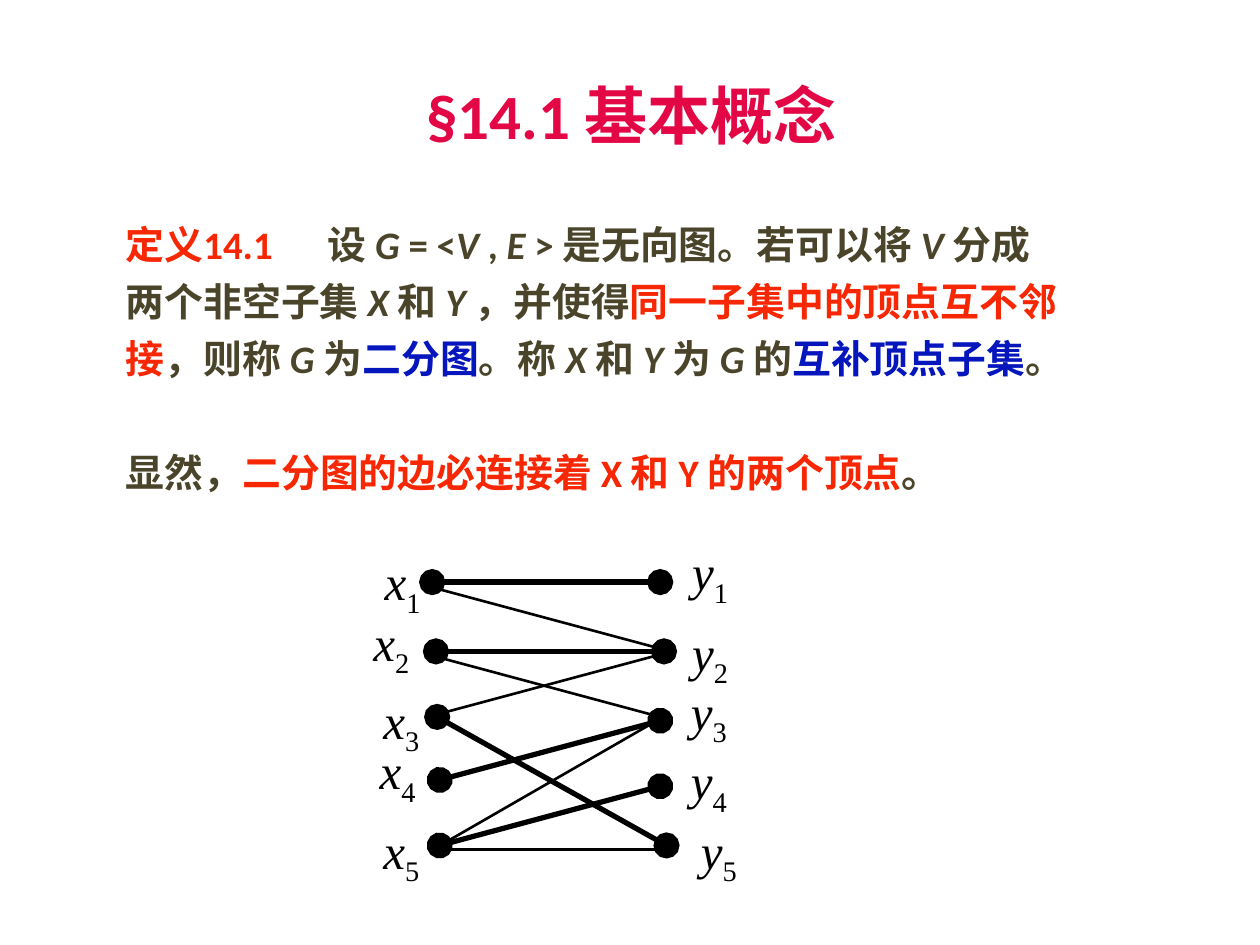
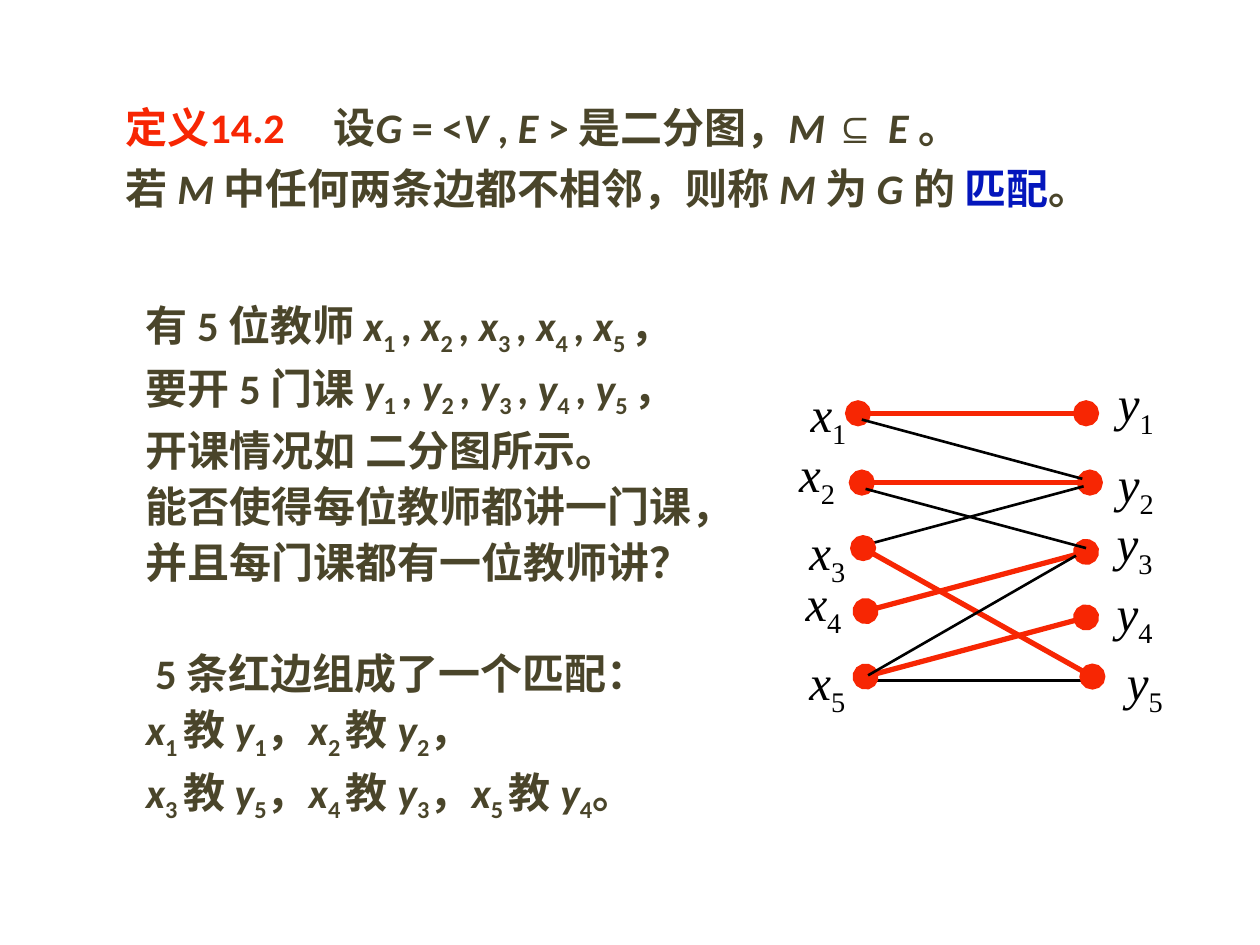
"""Two slides on bipartite graphs: basic concepts and matchings."""
from pptx import Presentation
from pptx.dml.color import RGBColor
from pptx.enum.shapes import MSO_CONNECTOR as CONN
from pptx.enum.text import MSO_ANCHOR as ANCHOR, PP_ALIGN as ALIGN
from pptx.oxml.ns import qn
from pptx.util import Inches, Pt
from lxml.etree import SubElement

RED, BLUE, OLIVE, BLACK, CRIMSON = "F72603", "0416BC", "4A452A", "000000", "E30746"
rgb = RGBColor.from_string


def add_text(shapes, box, lines, size, font="Calibri", bold=True, gaps=(), tab=None,
             align=ALIGN.LEFT, anchor=ANCHOR.TOP, inset=None, wrap=True):
    """Write lines of (text, colour) parts; *a* is italic and _a_ is subscript."""
    tf = shapes.add_textbox(*[Inches(v) for v in box]).text_frame
    tf.word_wrap, tf.vertical_anchor = wrap, anchor
    if inset is not None:
        tf.margin_left = tf.margin_right = tf.margin_top = tf.margin_bottom = inset
    for i, line in enumerate(lines):
        p = tf.add_paragraph() if i else tf.paragraphs[0]
        p.alignment = align
        p.space_before = Pt(gaps[i] if gaps else 0)
        if tab and i == 0:
            tabs = SubElement(p._p.get_or_add_pPr(), qn("a:tabLst"))
            SubElement(tabs, qn("a:tab"), pos=str(Inches(tab)), algn="l")
        for text, color in line:
            for j, chunk in enumerate(text.split("*")):
                for k, piece in enumerate(chunk.split("_")):
                    if not piece:
                        continue
                    r = p.add_run()
                    r.text = piece
                    r.font.name = "Arial" if "⊆" in piece else font
                    r.font.size, r.font.bold = Pt(size), bold
                    r.font.italic = j % 2 == 1
                    r.font.color.rgb = rgb(color)
                    if k % 2:
                        r._r.get_or_add_rPr().set("baseline", "-25000")


EDGES = [
    (3.43, 4.62, 5.24, 4.62, "match"),
    (3.46, 5.17, 5.27, 5.17, "match"),
    (3.51, 6.74, 5.32, 6.74, "plain"),
    (3.49, 6.19, 5.24, 5.72, "match"),
    (3.46, 4.67, 5.21, 5.14, "plain"),
    (3.49, 5.22, 5.24, 5.69, "plain"),
    (3.47, 5.67, 5.22, 5.2, "arrow"),
    (3.49, 6.71, 5.24, 6.24, "match"),
    (3.47, 5.69, 5.29, 6.71, "match"),
    (5.16, 5.75, 3.51, 6.7, "plain"),
]
VERTICES = {
    "x": [(3.05, 4.38), (2.96, 4.86), (3.04, 5.48), (3.01, 5.88), (3.04, 6.51)],
    "y": [(5.49, 4.3), (5.49, 4.94), (5.48, 5.41), (5.48, 5.96), (5.56, 6.51)],
}
ENDS = {"match": [("headEnd", "oval", "lg"), ("tailEnd", "oval", "lg")],
        "arrow": [("headEnd", "triangle", "med")], "plain": []}


def add_graph(s, dx, dy, match_color):
    """Draw the bipartite graph shifted by dx, dy."""
    shapes = s.shapes.add_group_shape().shapes
    for x1, y1, x2, y2, kind in EDGES:
        edge = shapes.add_connector(CONN.STRAIGHT, Inches(x1 + dx), Inches(y1 + dy),
                                    Inches(x2 + dx), Inches(y2 + dy))
        edge.line.color.rgb = rgb(match_color if kind == "match" else BLACK)
        edge.line.width = Pt(3 if kind == "match" else 1.5)
        for tag, shape, size in ENDS[kind]:
            SubElement(edge.line._get_or_add_ln(), qn("a:" + tag), type=shape, w=size, len=size)
        SubElement(edge._element.spPr, qn("a:effectLst"))
    for letter, spots in VERTICES.items():
        for n, (x, y) in enumerate(spots, 1):
            add_text(shapes, (x + dx, y + dy, 0.29, 0.53), [[(f"*{letter}*_{n}_", BLACK)]], 28,
                     "Times New Roman", bold=False, align=ALIGN.CENTER, inset=0, wrap=False)


prs = Presentation()
prs.slide_width, prs.slide_height = Inches(10), Inches(7.5)
blank = prs.slide_layouts[6]

s = prs.slides.add_slide(blank)
add_text(s.shapes, (0.51, 0.28, 9, 1.25), [[("§14.1 基本概念", CRIMSON)]], 36,
         align=ALIGN.CENTER, anchor=ANCHOR.MIDDLE)
add_text(s.shapes, (0.9, 1.7, 8.5, 2.52), [
    [("定义14.1\t", RED), ("设 *G *= <*V *, *E *> 是无向图。若可以将 *V *分成", OLIVE)],
    [("两个非空子集 *X *和 *Y *，并使得", OLIVE), ("同一子集中的顶点互不邻", RED)],
    [("接", RED), ("，则称 *G *为", OLIVE), ("二分图", BLUE),
     ("。称 *X *和 *Y *为 *G *的", OLIVE), ("互补顶点子集", BLUE), ("。", OLIVE)],
    [("显然，", OLIVE), ("二分图的边必连接着 X 和 Y 的两个顶点", RED), ("。", OLIVE)],
], 22.2, gaps=(0, 6, 6, 38.6), tab=1.6)
add_graph(s, 0, 0, BLACK)

s = prs.slides.add_slide(blank)
teachers, courses = [", ".join(f"*{v}*_{n} _" for n in range(1, 6)) for v in "xy"]
first, second, third, fourth, fifth = [
    f"*x*_{n} _教 *y*_{m}_" for n, m in enumerate((1, 2, 5, 3, 4), 1)]
story = [
    f"有 5 位教师 {teachers}，",
    f"要开 5 门课 {courses}，",
    "开课情况如 二分图所示。",
    "能否使得每位教师都讲一门课，",
    "并且每门课都有一位教师讲？",
    " 5 条红边组成了一个匹配：",
    f"{first}，{second}，",
    f"{third}，{fourth}，{fifth}。",
]
add_text(s.shapes, (1.06, 2.33, 5.12, 4.33), [[(line, OLIVE)] for line in story], 24,
         gaps=(0, 3, 3, 3, 3, 35, 3, 3))
add_graph(s, 3.38, -1.34, RED)
add_text(s.shapes, (0.9, 0.76, 8.43, 1.18), [
    [("定义14.2\t", RED), ("设*G *= <*V *, *E *> 是二分图，*M *", OLIVE),
     ("⊆ ", OLIVE), ("*E *。", OLIVE)],
    [("若 *M *中任何两条边都不相邻，则称 *M *为 *G *的 ", OLIVE),
     ("匹配", BLUE), ("。", OLIVE)],
], 24, gaps=(0, 6), tab=1.65)

prs.save("out.pptx")
